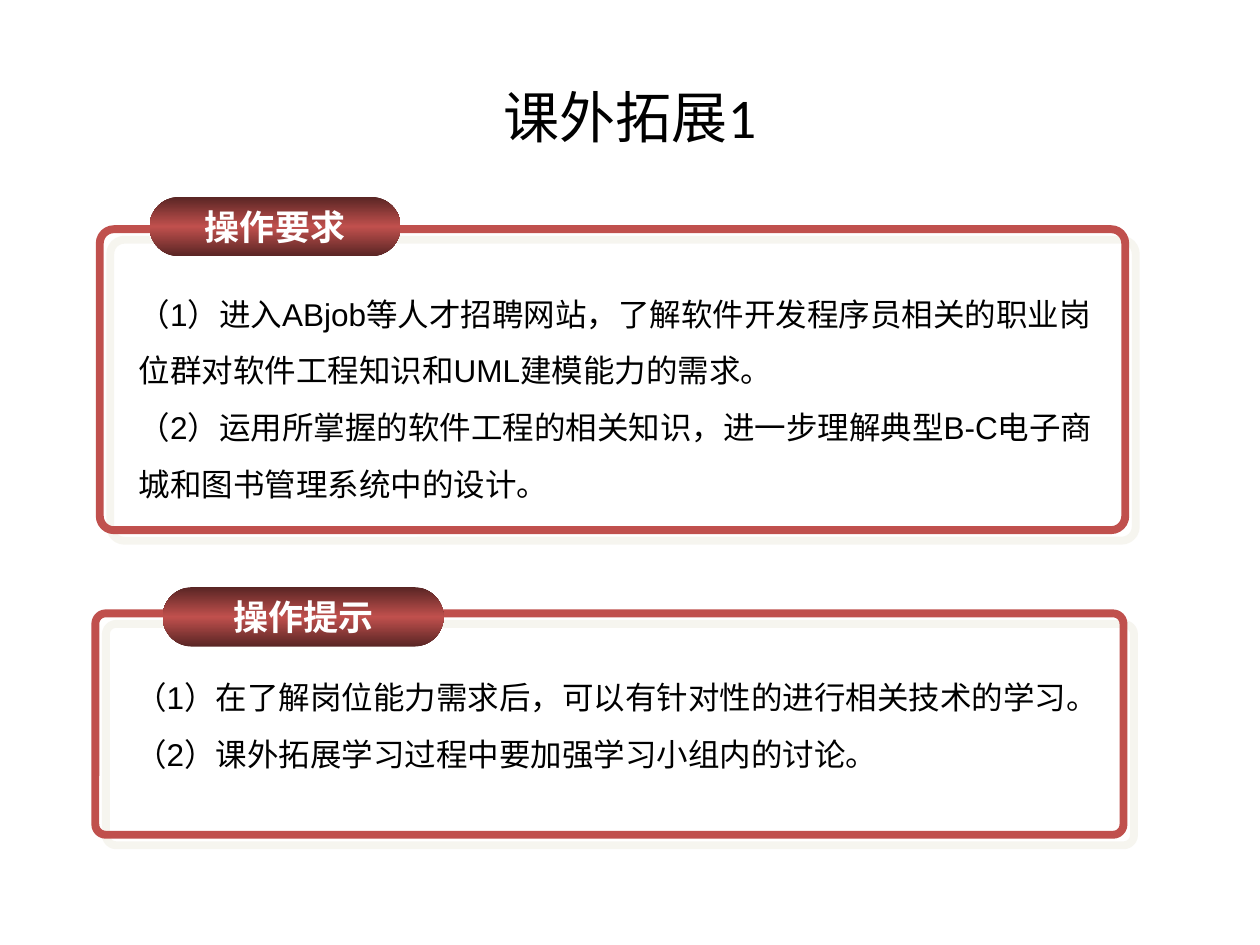
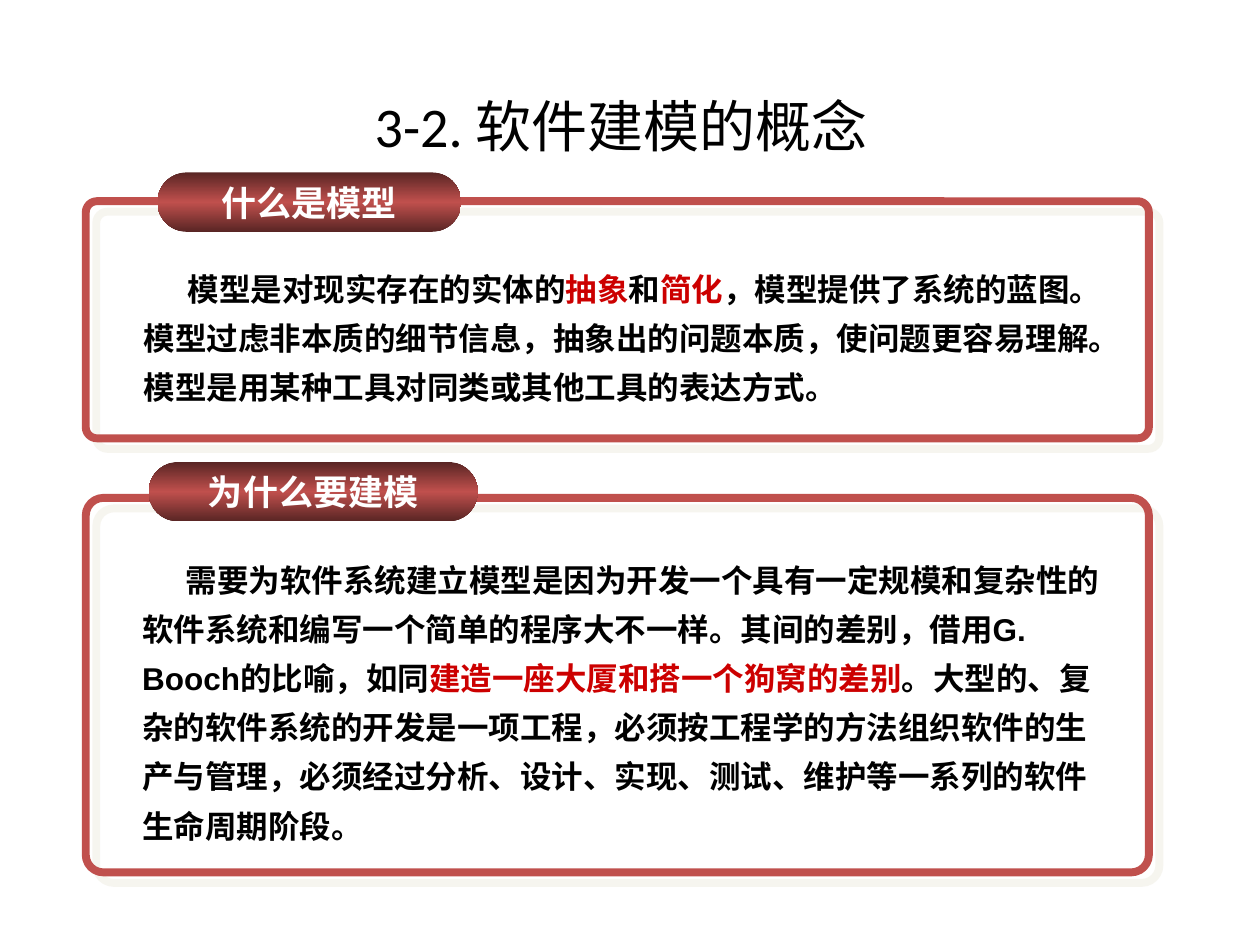
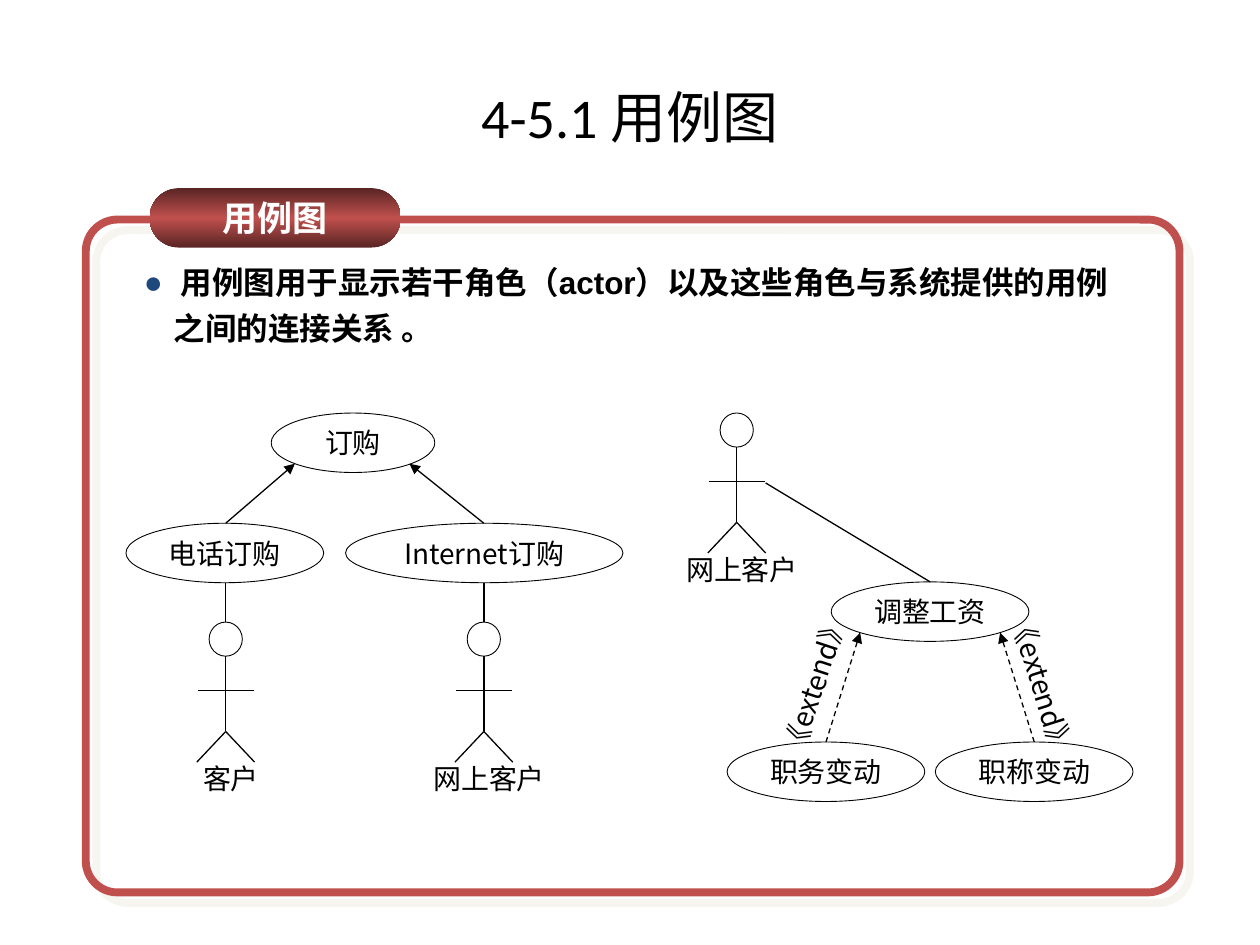
from copy import deepcopy

from pptx import Presentation
from pptx.dml.color import RGBColor
from pptx.enum.dml import MSO_LINE
from pptx.enum.lang import MSO_LANGUAGE_ID as LANG
from pptx.enum.shapes import MSO_CONNECTOR, MSO_SHAPE
from pptx.enum.text import MSO_ANCHOR, MSO_AUTO_SIZE, PP_ALIGN
from pptx.oxml import parse_xml
from pptx.oxml.ns import nsdecls, qn
from pptx.util import Pt

BLACK = RGBColor(0x00, 0x00, 0x00)
WHITE = RGBColor(0xFF, 0xFF, 0xFF)
RED = RGBColor(0xC0, 0x50, 0x4D)
DARK_RED = RGBColor(0x59, 0x25, 0x24)
KEYWORD_RED = RGBColor(0xCC, 0x00, 0x00)
NAVY = RGBColor(0x1F, 0x49, 0x7D)
SHADOW = RGBColor(0xEE, 0xEC, 0xE1)
CJK = "Noto Sans CJK SC"
PILL_HEIGHT = 34
OVAL_HEIGHT = 34


def write(frame, *lines, size=16, font=CJK, color=BLACK, bold=False,
          align=PP_ALIGN.CENTER, anchor=MSO_ANCHOR.MIDDLE, spacing=1.0,
          margin=0, indent=0, bullet=None, wrap=True):
    """Write one paragraph per line; parts between | marks are keywords."""
    frame.word_wrap = wrap
    frame.auto_size = MSO_AUTO_SIZE.NONE
    frame.vertical_anchor = anchor
    for number, line in enumerate(lines):
        paragraph = frame.add_paragraph() if number else frame.paragraphs[0]
        properties = paragraph._p.get_or_add_pPr()
        properties.set("marL", str(Pt(margin)))
        properties.set("indent", str(Pt(indent)))
        if bullet:
            properties.append(parse_xml(
                f'<a:buClr {nsdecls("a")}><a:srgbClr val="{NAVY}"/></a:buClr>'))
            properties.append(parse_xml(f'<a:buChar {nsdecls("a")} char="{bullet}"/>'))
        else:
            properties.append(parse_xml(f'<a:buNone {nsdecls("a")}/>'))
        paragraph.alignment = align
        paragraph.line_spacing = spacing
        paragraph.space_before = Pt(0)
        for part, words in enumerate(line.split("|")):
            run = paragraph.add_run()
            run.text = words
            run.font.size = Pt(size)
            run.font.bold = bold
            run.font.color.rgb = KEYWORD_RED if part % 2 else color
            run.font.name = font
            run.font.language_id = LANG.SIMPLIFIED_CHINESE
            run.font._element.append(parse_xml(
                f'<a:ea {nsdecls("a")} typeface="{CJK}"/>'))


def connect(shapes, x1, y1, x2, y2, arrow=False, dashed=False):
    connector = shapes.add_connector(
        MSO_CONNECTOR.STRAIGHT, Pt(x1), Pt(y1), Pt(x2), Pt(y2))
    connector.line.color.rgb = BLACK
    connector.line.width = Pt(0.75)
    if dashed:
        connector.line.dash_style = MSO_LINE.DASH
    properties = connector.element.spPr
    if arrow:
        properties.find(qn("a:ln")).append(
            parse_xml(f'<a:tailEnd {nsdecls("a")} type="triangle"/>'))
    properties.append(parse_xml(f'<a:effectLst {nsdecls("a")}/>'))


numbered = dict(spacing=1.5)
prose = dict(spacing=1.3, bold=True, indent=25)
bulleted = dict(spacing=1.2, bold=True, margin=17, indent=-17, bullet="●")

# Each panel: heading, frame box, pill (left, top, width), text box, format, lines
lessons = [
    ("课外拓展1", [
        ("操作提示", (54.5, 350.5, 587.5, 126.5), (93, 335.5, 160.5),
         (70, 373, 574, 72), numbered,
         ["（1）在了解岗位能力需求后，可以有针对性的进行相关技术的学习。",
          "（2）课外拓展学习过程中要加强学习小组内的讨论。"]),
        ("操作要求", (57, 131, 586, 172), (85.5, 112.5, 143.5),
         (72, 154, 567, 137), numbered,
         ["（1）进入ABjob等人才招聘网站，了解软件开发程序员相关的职业岗位群对软件工程知识和UML建模能力的需求。",
          "（2）运用所掌握的软件工程的相关知识，进一步理解典型B-C电子商城和图书管理系统中的设计。"]),
    ]),
    ("3-2. 软件建模的概念", [
        ("为什么要建模", (49, 284.5, 607.5, 214), (85, 264, 188),
         (74, 310.5, 567.5, 176), prose,
         ["需要为软件系统建立模型是因为开发一个具有一定规模和复杂性的软件系统和编写一个简单的程序大不一样。"
          "其间的差别，借用G. Booch的比喻，如同|建造一座大厦和搭一个狗窝的差别|。"
          "大型的、复杂的软件系统的开发是一项工程，必须按工程学的方法组织软件的生产与管理，"
          "必须经过分析、设计、实现、测试、维护等一系列的软件生命周期阶段。"]),
        ("什么是模型", (49, 115, 607.5, 135.5), (90, 98.5, 173.5),
         (75, 144, 567.5, 91.5), prose,
         ["模型是对现实存在的实体的|抽象|和|简化|，模型提供了系统的蓝图。"
          "模型过虑非本质的细节信息，抽象出的问题本质，使问题更容易理解。"
          "模型是用某种工具对同类或其他工具的表达方式。"]),
    ]),
    ("4-5.1 用例图", [
        ("用例图", (49, 125.5, 625, 384.5), (85.5, 107.5, 143.5),
         (75, 142.5, 567.5, 59), bulleted,
         [" 用例图用于显示若干角色（actor）以及这些角色与系统提供的用例之间的连接关系 。"]),
    ]),
]

prs = Presentation()
prs.slide_width, prs.slide_height = Pt(720), Pt(540)

for title, panels in lessons:
    layout = prs.slide_layouts[3 if len(panels) == 2 else 1]
    slide = prs.slides.add_slide(layout)
    write(slide.shapes.title.text_frame, title, size=32, font="Calibri")
    for index, (heading, frame_box, pill_box, text_box, style, lines) in enumerate(panels, 1):
        body = slide.placeholders[index]
        body.left, body.top, body.width, body.height = map(Pt, text_box)
        write(body.text_frame, *lines, size=18, font="Arial",
              align=PP_ALIGN.LEFT, anchor=MSO_ANCHOR.TOP, **style)

        frame = slide.shapes.add_shape(MSO_SHAPE.ROUNDED_RECTANGLE, *map(Pt, frame_box))
        frame.adjustments[0] = 0.047
        frame.fill.background()
        frame.line.color.rgb = RED
        frame.line.width = Pt(4.5)
        frame.shadow.inherit = False
        frame.element.spPr.find(qn("a:effectLst")).append(parse_xml(
            f'<a:outerShdw {nsdecls("a")} dist="{Pt(8.5)}" dir="2700000" algn="ctr" '
            f'rotWithShape="0"><a:srgbClr val="{SHADOW}"><a:alpha val="50000"/>'
            '</a:srgbClr></a:outerShdw>'))

        pill = slide.shapes.add_shape(
            MSO_SHAPE.ROUNDED_RECTANGLE, *map(Pt, pill_box), Pt(PILL_HEIGHT))
        pill.adjustments[0] = 0.5
        pill.shadow.inherit = False
        pill.line.fill.background()
        pill.fill.gradient()
        pill.fill.gradient_angle = 90
        edge, middle = pill.fill.gradient_stops
        edge.color.rgb, edge.position = DARK_RED, 0
        middle.color.rgb, middle.position = RED, 0.5
        stops = pill.element.spPr.find(qn("a:gradFill")).find(qn("a:gsLst"))
        last_stop = deepcopy(stops[0])
        last_stop.set("pos", "100000")
        stops.append(last_stop)
        write(pill.text_frame, heading, size=20, color=WHITE, bold=True, wrap=False)

# The concept title ends with a taller space that sets its line height
tall_space = prs.slides[1].shapes.title.text_frame.paragraphs[0].add_run()
tall_space.text = " "
tall_space.font.size = Pt(44)
tall_space.font.name = "Calibri"

# Use case diagram
shapes = prs.slides[2].shapes
actors = [(129, 355.5, "客户"), (276.5, 355.5, "网上客户"), (421, 236, "网上客户")]
use_cases = [
    (155, 236, 93.5, "订购"),
    (72, 299, 113, "电话订购"),
    (197.5, 299, 158.5, "Internet订购"),
    (475, 332.5, 113, "调整工资"),
    (415.5, 424, 113, "职务变动"),
    (534.5, 424, 113, "职称变动"),
]
ovals = [(x, y, width, OVAL_HEIGHT, name) for x, y, width, name in use_cases]
ovals += [(x - 9.5, y, 19, 19.5, None) for x, y, _ in actors]
for *box, name in ovals:
    oval = shapes.add_shape(MSO_SHAPE.OVAL, *map(Pt, box))
    oval.shadow.inherit = False
    oval.fill.background()
    oval.line.color.rgb = BLACK
    oval.line.width = Pt(0.5)
    if name:
        write(oval.text_frame, name, wrap=False)

labels = [(x - 45, y + 76, 96, 0, name) for x, y, name in actors]
labels += [(540, 377.5, 111.5, 72.5, "《extend》"), (409.5, 377.5, 111.5, 288.3, "《extend》")]
for x, y, width, rotation, name in labels:
    label = shapes.add_textbox(Pt(x), Pt(y), Pt(width), Pt(27))
    label.rotation = rotation
    write(label.text_frame, name, wrap=not rotation)

for x, y, _ in actors:
    connect(shapes, x - 16, y + 39, x + 16, y + 39)
    connect(shapes, x, y + 19.5, x, y + 62.5)
    for foot in (-16.5, 16.5):
        connect(shapes, x, y + 62.5, x + foot, y + 80)

for x in (129, 276.5):
    connect(shapes, x, 333, x, 355.5)
connect(shapes, 437.5, 276, 531.5, 332.5)
connect(shapes, 129, 299, 168.5, 265, arrow=True)
connect(shapes, 276.5, 299, 234, 265, arrow=True)
connect(shapes, 472, 424, 491.5, 361.5, arrow=True, dashed=True)
connect(shapes, 591, 424, 571.5, 361.5, arrow=True, dashed=True)

prs.save("out.pptx")
